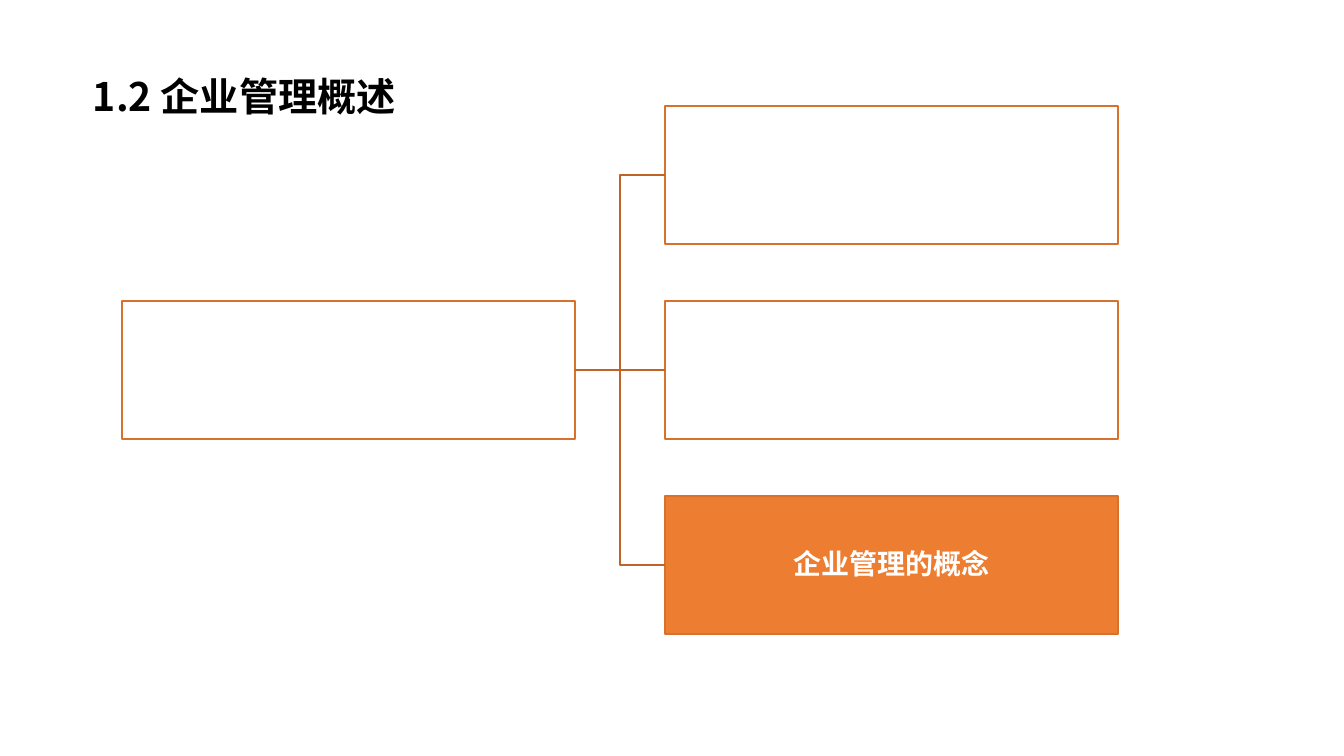
from lxml import etree
from pptx import Presentation
from pptx import util as u
from pptx.dml.color import RGBColor
from pptx.enum import shapes, text
from pptx.oxml.ns import qn

TITLE = "1.2 企业管理概述"
BRANCHES = ["", "", "企业管理的概念"]
FONT = "Noto Sans CJK SC"

BLACK = RGBColor(0x00, 0x00, 0x00)
WHITE = RGBColor(0xFF, 0xFF, 0xFF)
ORANGE = RGBColor(0xED, 0x7D, 0x31)
BORDER = RGBColor(0xD7, 0x71, 0x2C)
LINK = RGBColor(0xBE, 0x64, 0x27)

SLIDE_SIZE = (1344, 756)
TITLE_AREA = (81, 66, 973, 59)
BOX_WIDTH, BOX_HEIGHT = 453, 138
ROOT_LEFT, BRANCH_LEFT = 122, 665
BRANCH_TOP, BRANCH_PITCH = 106, 195
ROOT_TOP = BRANCH_TOP + BRANCH_PITCH


def px(length):
    return u.Emu(round(length * 914400 / 100.8))


def write(frame, words, size, color, align, anchor, margin_x, margin_y):
    frame.text = words
    frame.word_wrap = True
    frame.vertical_anchor = anchor
    frame.margin_left = frame.margin_right = px(margin_x)
    frame.margin_top = frame.margin_bottom = px(margin_y)
    para = frame.paragraphs[0]
    para.alignment = align
    para.line_spacing = 0.9 if align == text.PP_ALIGN.CENTER else 1.0
    for span in para.runs:
        span.font.size = u.Pt(size)
        span.font.bold = True
        span.font.color.rgb = color
        span.font.name = FONT
        east_asian = etree.SubElement(span.font._element, qn("a:ea"))
        east_asian.set("typeface", FONT)


def add_box(page, left, top, words):
    box = page.shapes.add_shape(shapes.MSO_SHAPE.RECTANGLE, px(left), px(top),
                                px(BOX_WIDTH), px(BOX_HEIGHT))
    box.shadow.inherit = False
    box.fill.solid()
    box.fill.fore_color.rgb = ORANGE if words else WHITE
    box.line.color.rgb = BORDER
    box.line.width = u.Pt(1)
    if words:
        write(box.text_frame, words, 20, WHITE, text.PP_ALIGN.CENTER,
              text.MSO_ANCHOR.MIDDLE, 1, 1)
    return box


def add_link(page, root, branch):
    level = root.top == branch.top
    kind = shapes.MSO_CONNECTOR.STRAIGHT if level else shapes.MSO_CONNECTOR.ELBOW
    link = page.shapes.add_connector(kind, 0, 0, 0, 0)
    link.begin_connect(root, 3)
    link.end_connect(branch, 1)
    link.line.color.rgb = LINK
    link.line.width = u.Pt(1)
    etree.SubElement(link._element.spPr, qn("a:effectLst"))


def main():
    deck = Presentation()
    deck.slide_width, deck.slide_height = map(px, SLIDE_SIZE)
    page = deck.slides.add_slide(deck.slide_layouts[5])

    title = page.shapes.title
    title.left, title.top, title.width, title.height = map(px, TITLE_AREA)
    write(title.text_frame, TITLE, 28, BLACK, text.PP_ALIGN.LEFT,
          text.MSO_ANCHOR.TOP, 12, 6)
    title.text_frame.auto_size = text.MSO_AUTO_SIZE.SHAPE_TO_FIT_TEXT

    root = add_box(page, ROOT_LEFT, ROOT_TOP, "")
    for row, words in enumerate(BRANCHES):
        branch = add_box(page, BRANCH_LEFT, BRANCH_TOP + row * BRANCH_PITCH, words)
        add_link(page, root, branch)

    deck.save("out.pptx")


if __name__ == "__main__":
    main()
